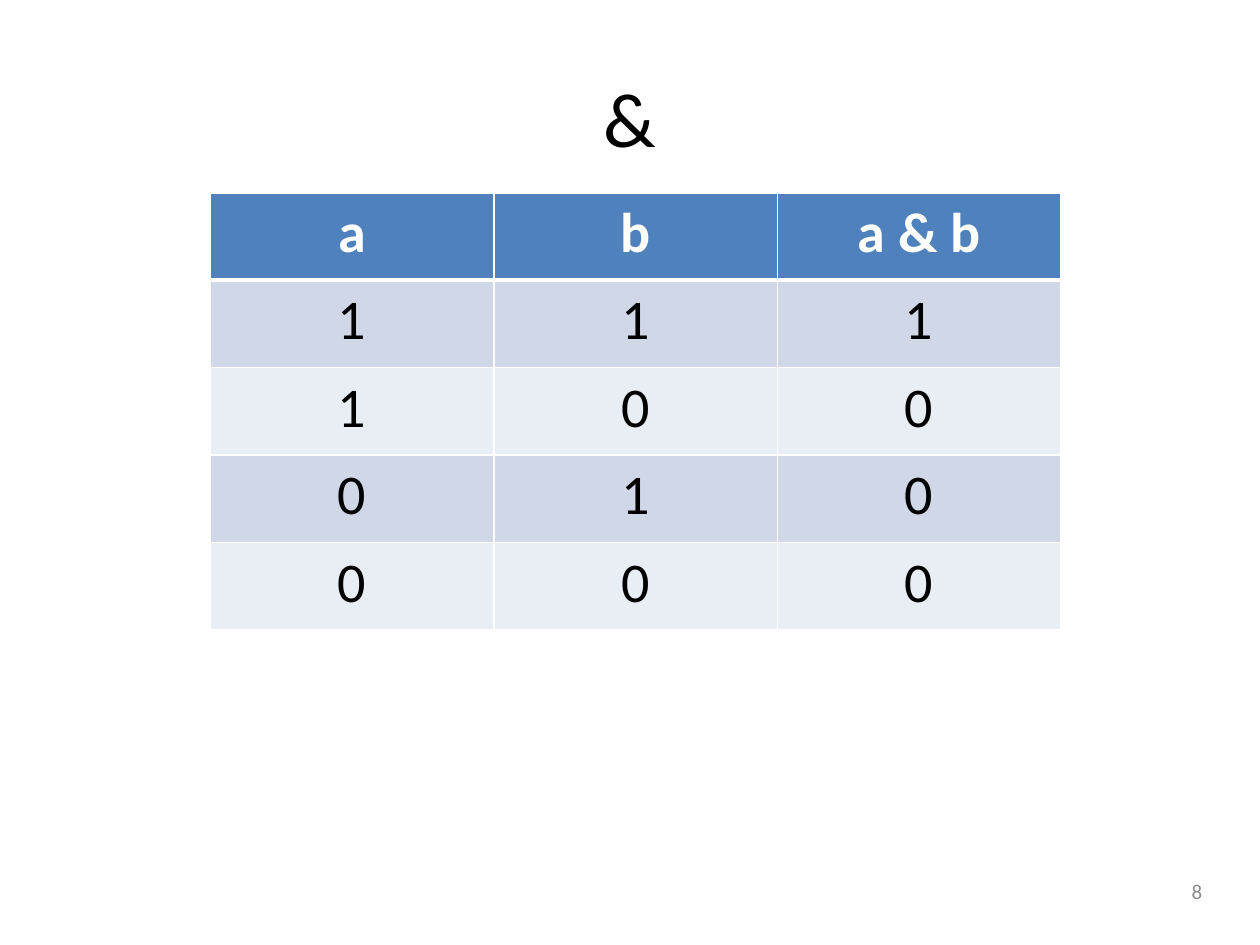
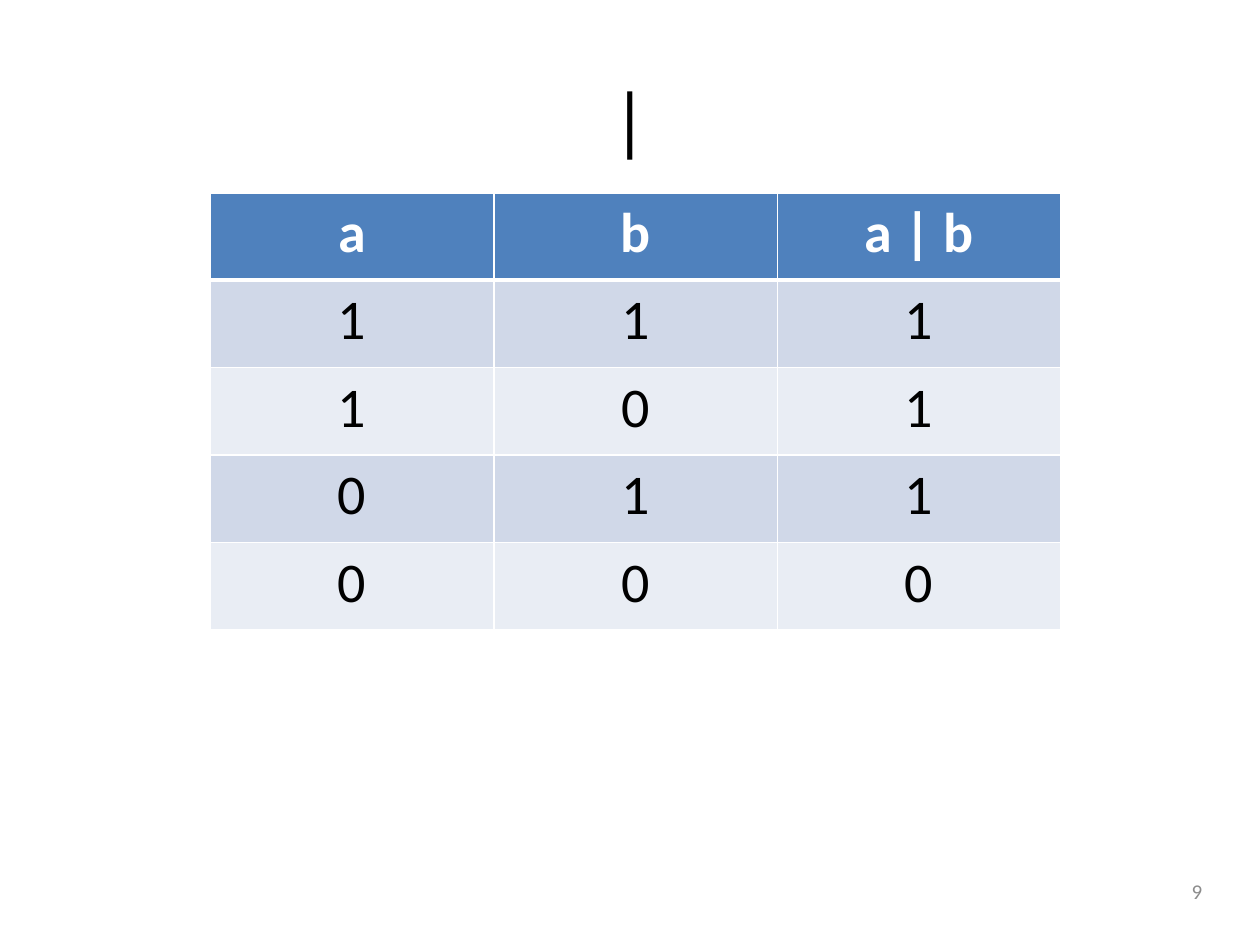
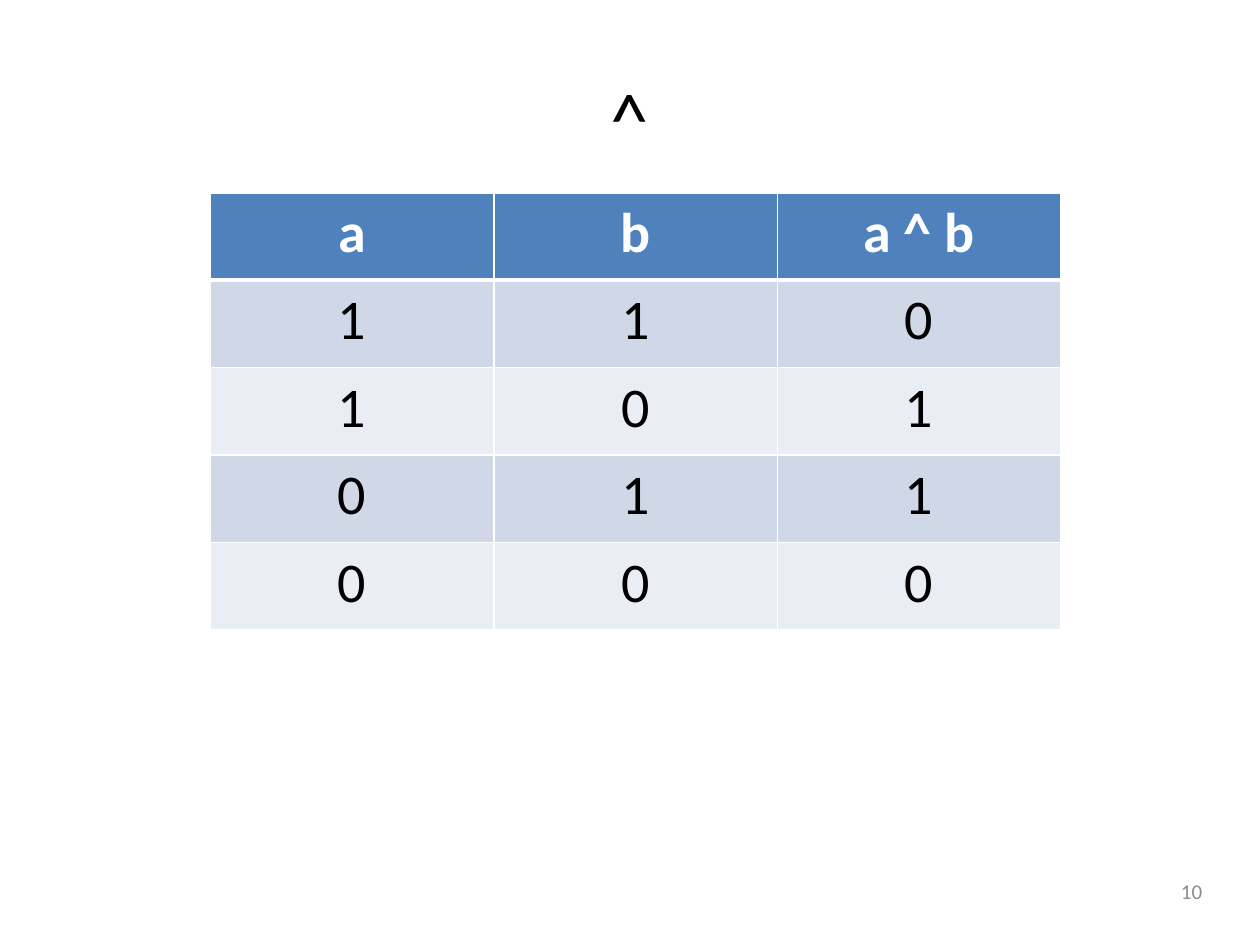
from lxml import etree
from pptx import Presentation
from pptx.dml.color import RGBColor
from pptx.enum.text import MSO_ANCHOR, PP_ALIGN
from pptx.oxml.ns import qn
from pptx.util import Inches, Pt

CENTER, RIGHT = PP_ALIGN.CENTER, PP_ALIGN.RIGHT
MIDDLE = MSO_ANCHOR.MIDDLE
TITLE_ONLY = 5

# Shared style: lengths are columns and rows of a 40 by 30 grid
GRID_COLUMNS, GRID_ROWS = 40, 30
TITLE_AREA = (2, 1.2, 36, 5)
NUMBER_AREA = (29.24, 27.48, 9.32, 1.6)
TABLE_AREA = (6.68, 6.12, 27, 13.88)
FONT = "Calibri"
BLACK, WHITE, GRAY = "000000", "FFFFFF", "8C8C8C"
HEADER_FILL = "4F81BD"
BAND_FILLS = ("D0D8E8", "E9EDF4")
THIN, THICK = 1, 3

# Each slide: operator and its function on two bits
FIRST_NUMBER = 8
OPERATORS = (
    ("&", lambda a, b: a & b),
    ("|", lambda a, b: a | b),
    ("^", lambda a, b: a ^ b),
)
BIT_PAIRS = ((1, 1), (1, 0), (0, 1), (0, 0))


def color(hex_string):
    return RGBColor.from_string(hex_string)


class Deck:
    def __init__(self):
        self.presentation = Presentation()
        self.presentation.slide_width = Inches(10)
        self.presentation.slide_height = Inches(7.5)
        self.slide = None

    def area(self, left, top, width, height):
        column = self.presentation.slide_width / GRID_COLUMNS
        row = self.presentation.slide_height / GRID_ROWS
        return (round(left * column), round(top * row),
                round(width * column), round(height * row))

    def add_slide(self):
        layout = self.presentation.slide_layouts[TITLE_ONLY]
        self.slide = self.presentation.slides.add_slide(layout)
        background = self.slide.background.fill
        background.solid()
        background.fore_color.rgb = color(WHITE)

    def set_text(self, text_frame, text, size, text_color, alignment=CENTER, bold=False):
        text_frame.text = text
        paragraph = text_frame.paragraphs[0]
        paragraph.alignment = alignment
        font = paragraph.runs[0].font
        font.name, font.size, font.bold = FONT, Pt(size), bold
        font.color.rgb = color(text_color)

    def title(self, text):
        title = self.slide.shapes.title
        title.left, title.top, title.width, title.height = self.area(*TITLE_AREA)
        title.text_frame.vertical_anchor = MIDDLE
        self.set_text(title.text_frame, text, 44, BLACK)

    def number(self, value):
        text_frame = self.slide.shapes.add_textbox(*self.area(*NUMBER_AREA)).text_frame
        text_frame.word_wrap = True
        text_frame.vertical_anchor = MIDDLE
        self.set_text(text_frame, str(value), 12, GRAY, RIGHT)

    def borders(self, cell, top, bottom):
        properties = cell._tc.get_or_add_tcPr()
        for side, points in (("L", THIN), ("R", THIN), ("T", top), ("B", bottom)):
            line = etree.SubElement(properties, qn(f"a:ln{side}"), w=str(Pt(points)))
            fill = etree.SubElement(line, qn("a:solidFill"))
            etree.SubElement(fill, qn("a:srgbClr"), val=WHITE)

    def table(self, rows):
        frame = self.slide.shapes.add_table(
            len(rows), len(rows[0]), *self.area(*TABLE_AREA))
        for row_index, row in enumerate(rows):
            is_header = row_index == 0
            fill = HEADER_FILL if is_header else BAND_FILLS[(row_index - 1) % 2]
            for column_index, value in enumerate(row):
                cell = frame.table.cell(row_index, column_index)
                self.borders(cell, top=THICK if row_index == 1 else THIN,
                             bottom=THICK if is_header else THIN)
                cell.fill.solid()
                cell.fill.fore_color.rgb = color(fill)
                self.set_text(cell.text_frame, str(value), 32,
                              WHITE if is_header else BLACK, bold=is_header)


def main():
    deck = Deck()
    for number, (symbol, operation) in enumerate(OPERATORS, FIRST_NUMBER):
        deck.add_slide()
        deck.title(symbol)
        deck.number(number)
        header = ("a", "b", f"a {symbol} b")
        deck.table([header] + [(a, b, operation(a, b)) for a, b in BIT_PAIRS])
    deck.presentation.save("out.pptx")


if __name__ == "__main__":
    main()
